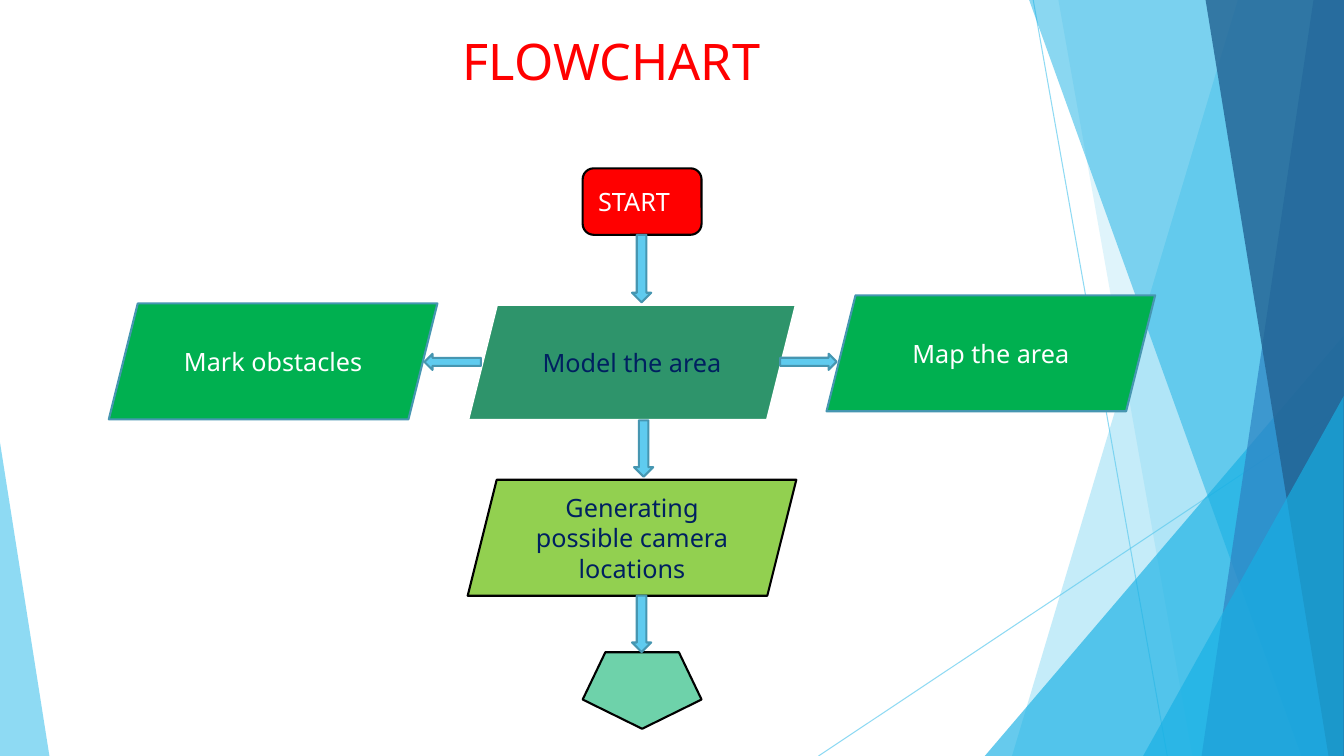
"""Build a flowchart slide for placing cameras in a modelled area."""
from dataclasses import dataclass

from lxml import etree
from pptx import Presentation
from pptx.dml.color import RGBColor
from pptx.enum.shapes import MSO_CONNECTOR, MSO_SHAPE
from pptx.enum.text import MSO_ANCHOR, MSO_AUTO_SIZE, PP_ALIGN
from pptx.oxml.ns import qn
from pptx.util import Inches, Pt

STRAIGHT = MSO_CONNECTOR.STRAIGHT
TRIANGLE = MSO_SHAPE.ISOSCELES_TRIANGLE
ROUNDED = MSO_SHAPE.ROUNDED_RECTANGLE
PARALLELOGRAM = MSO_SHAPE.PARALLELOGRAM
PENTAGON = MSO_SHAPE.REGULAR_PENTAGON
DOWN, RIGHT = MSO_SHAPE.DOWN_ARROW, MSO_SHAPE.RIGHT_ARROW
TOP, MIDDLE = MSO_ANCHOR.TOP, MSO_ANCHOR.MIDDLE
LEFT, CENTER = PP_ALIGN.LEFT, PP_ALIGN.CENTER
NO_AUTOFIT = MSO_AUTO_SIZE.NONE

COLUMNS, ROWS = 133.33, 75


@dataclass(frozen=True)
class Theme:
    """Colours, font and sizes of the slide."""
    font: str = "Noto Sans"
    title_size: int = 36
    label_size: int = 18
    outline: float = 1.5
    hairline: float = 0.75
    white: str = "FFFFFF"
    black: str = "000000"
    red: str = "FF0000"
    navy: str = "002060"
    sky: str = "5FCBEF"
    steel: str = "4696B1"
    cyan: str = "17B0E4"
    blue: str = "2E83C3"
    deep_blue: str = "226292"
    sea_green: str = "2E946B"
    green: str = "00B050"
    lime: str = "92D050"
    mint: str = "6ED2AA"


class FlowSlide:
    """Draw on one slide, in columns and rows of a tenth of an inch."""

    def __init__(self, slide, theme):
        """Keep the slide and its theme."""
        self.slide, self.theme = slide, theme

    @staticmethod
    def grid(*cells):
        """Turn grid counts into lengths."""
        return [Inches(cell / 10) for cell in cells]

    @staticmethod
    def fade(shape, opacity):
        """Set the opacity, in percent, of the colours of a shape."""
        for colour in shape._element.spPr.iter(qn("a:srgbClr")):
            etree.SubElement(colour, qn("a:alpha"), val=str(opacity * 1000))

    def paint(self, shape, fill, outline=None, width=None):
        """Give a shape its fill and outline."""
        shape.shadow.inherit = False
        shape.fill.solid()
        shape.fill.fore_color.rgb = RGBColor.from_string(fill)
        if outline is None:
            shape.line.fill.background()
        else:
            shape.line.color.rgb = RGBColor.from_string(outline)
            shape.line.width = Pt(width or self.theme.outline)

    def set_text(self, shape, text, size, colour, align, **frame_format):
        """Put formatted text in a shape."""
        frame = shape.text_frame
        frame.text = text
        for key, value in {"word_wrap": True, **frame_format}.items():
            setattr(frame, key, value)
        paragraph = frame.paragraphs[0]
        paragraph.alignment = align
        font = paragraph.runs[0].font
        for key, value in {"name": self.theme.font, "size": Pt(size)}.items():
            setattr(font, key, value)
        font.color.rgb = RGBColor.from_string(colour)

    def title(self, box, text):
        """Place and format the title."""
        heading = self.slide.shapes.title
        for key, value in zip(("left", "top", "width", "height"), self.grid(*box)):
            setattr(heading, key, value)
        self.set_text(heading, text, self.theme.title_size, self.theme.red, LEFT,
                      vertical_anchor=TOP, auto_size=NO_AUTOFIT)

    def ray(self, start, end):
        """Draw a faint background line."""
        ray = self.slide.shapes.add_connector(STRAIGHT, *self.grid(*start, *end))
        ray.line.color.rgb = RGBColor.from_string(self.theme.sky)
        ray.line.width = Pt(self.theme.hairline)
        etree.SubElement(ray._element.spPr, qn("a:effectLst"))
        self.fade(ray, 70)

    def facet(self, top, bottom, fill, opacity):
        """Draw a full-height facet from its slanted side to the right edge."""
        corners = [(COLUMNS, 0), (COLUMNS, ROWS), (bottom, ROWS)]
        outline = self.slide.shapes.build_freeform(*self.grid(top, 0))
        outline.add_line_segments([self.grid(*corner) for corner in corners])
        facet = outline.convert_to_shape()
        self.paint(facet, fill)
        self.fade(facet, opacity)

    def wedge(self, left, top, width, apex, fill, opacity):
        """Draw a triangle that stands on the bottom edge."""
        wedge = self.slide.shapes.add_shape(
            TRIANGLE, *self.grid(left, top, width, ROWS - top))
        wedge.adjustments[0] = apex
        self.paint(wedge, fill)
        self.fade(wedge, opacity)

    def step(self, kind, box, fill, outline, width=None, turn=0):
        """Draw a flowchart step or block arrow."""
        step = self.slide.shapes.add_shape(kind, *self.grid(*box))
        step.rotation = turn
        self.paint(step, fill, outline, width)
        return step

    def label(self, step, text, colour, **frame_format):
        """Set the label of a step."""
        self.set_text(step, text, self.theme.label_size, colour, CENTER,
                      vertical_anchor=MIDDLE, **frame_format)

    def arrow(self, kind, box, turn=0):
        """Draw a block arrow."""
        self.step(kind, box, self.theme.sky, self.theme.steel, turn=turn)


def draw_background(page, theme):
    """Draw the lines and facets behind the flowchart."""
    page.ray((102.5, 0), (115.8, ROWS))
    page.ray((COLUMNS, 40.3), (81.2, ROWS))
    page.facet(122.8, 100.4, theme.sky, 36)
    page.facet(105, 118.3, theme.sky, 20)
    page.wedge(97.7, 33.3, 35.6, 1, theme.cyan, 66)
    page.facet(102.1, 129.1, theme.cyan, 50)
    page.facet(130.3, 119.2, theme.blue, 70)
    page.facet(119.6, 131.8, theme.deep_blue, 80)
    page.wedge(113.4, 39.3, 19.9, 1, theme.cyan, 66)
    page.wedge(0, 43.9, 4.9, 0, theme.sky, 70)


def draw_flowchart(page, theme):
    """Draw the steps, then the arrows between them."""
    start = page.step(ROUNDED, (57.8, 16.7, 11.8, 6.6), theme.red, theme.black)
    page.label(start, "START", theme.white,
               margin_left=Inches(0.02), margin_right=Inches(0.18))
    stages = [
        ("Model the area", 46.4, 30.2, theme.sea_green, theme.white, 2, theme.navy),
        ("Map the area", 82, 29.3, theme.green, theme.steel, None, theme.white),
        ("Mark obstacles", 10.8, 30.1, theme.green, theme.steel, None, theme.white),
        ("Generating possible camera locations", 46.4, 47.6,
         theme.lime, theme.black, None, theme.navy),
    ]
    for text, left, top, fill, outline, width, ink in stages:
        stage = page.step(PARALLELOGRAM, (left, top, 32.6, 11.5), fill, outline, width)
        page.label(stage, text, ink)
    page.step(PENTAGON, (57.8, 64.7, 11.8, 7.6), theme.mint, theme.black, turn=180)
    for left, top, height in ((62.7, 23.3, 6.7), (62.9, 41.7, 5.6), (62.7, 59.1, 5.6)):
        page.arrow(DOWN, (left, top, 1.9, height))
    for left, turn in ((77.4, 0), (42.1, 180)):
        page.arrow(RIGHT, (left, 35.1, 5.6, 1.6), turn)


def main():
    """Build and save the presentation."""
    deck = Presentation()
    deck.slide_width, deck.slide_height = FlowSlide.grid(COLUMNS, ROWS)
    theme = Theme()
    page = FlowSlide(deck.slides.add_slide(deck.slide_layouts[5]), theme)
    draw_background(page, theme)
    page.title((44.9, 2.5, 88.4, 14.5), "FLOWCHART")
    draw_flowchart(page, theme)
    deck.save("out.pptx")


if __name__ == "__main__":
    main()
